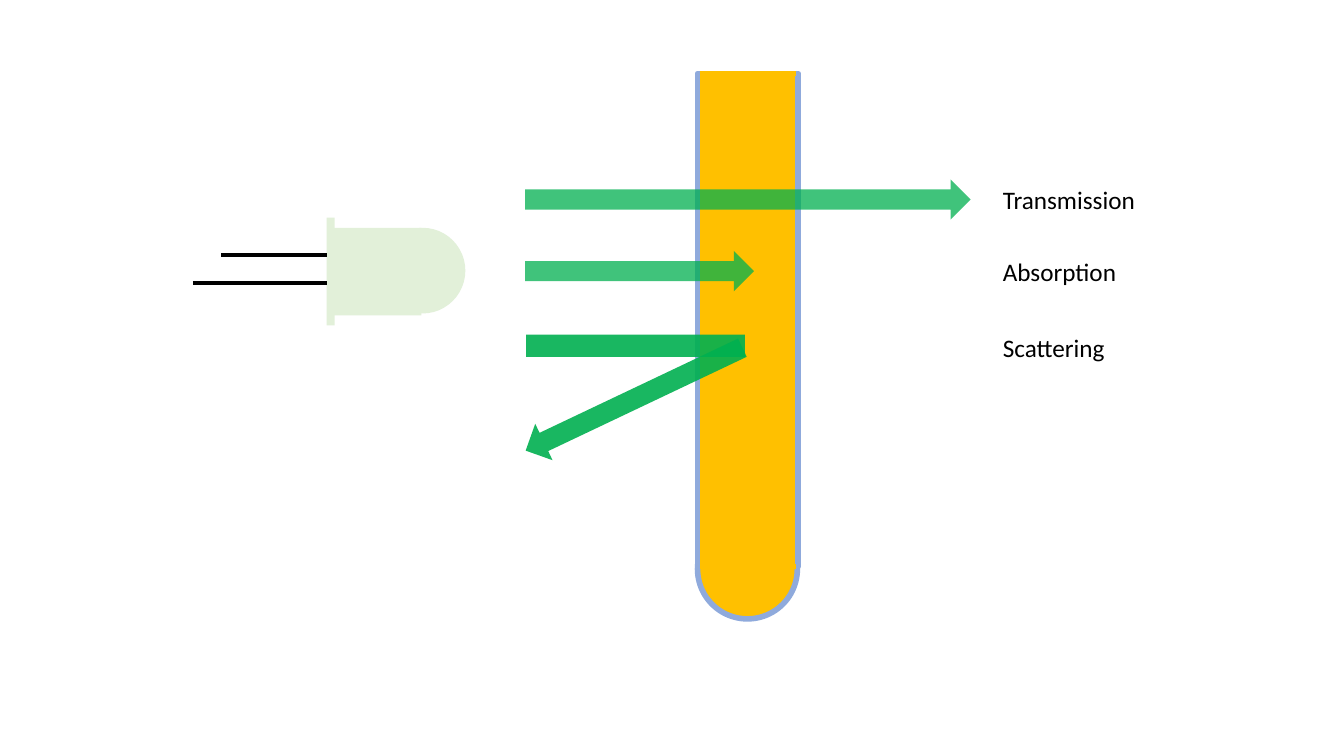
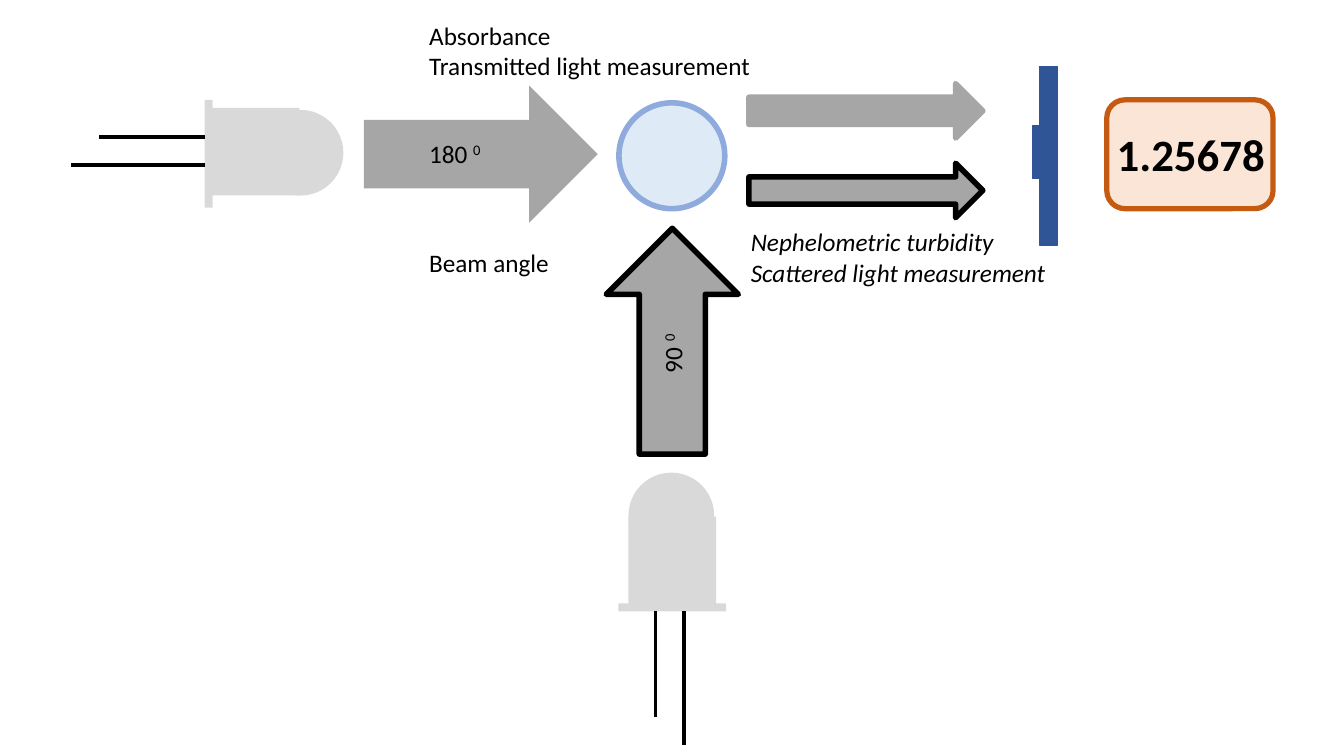
from lxml import etree
from pptx import Presentation
from pptx.dml.color import RGBColor
from pptx.enum.shapes import MSO_CONNECTOR, MSO_SHAPE
from pptx.enum.text import MSO_AUTO_SIZE
from pptx.oxml.ns import qn
from pptx.util import Pt

RECT, ROUND = MSO_SHAPE.RECTANGLE, MSO_SHAPE.ROUNDED_RECTANGLE
CIRCLE, ARROW = MSO_SHAPE.FLOWCHART_CONNECTOR, MSO_SHAPE.RIGHT_ARROW
STRAIGHT = MSO_CONNECTOR.STRAIGHT
GROW = MSO_AUTO_SIZE.SHAPE_TO_FIT_TEXT

COLORS = {
    "black": "000000", "liquid": "FFC000", "glass": "8FAADC",
    "beam": "00B050", "green_led": "E2F0D9", "gray_led": "D9D9D9",
    "gray_beam": "A6A6A6", "sample": "DEEBF7", "sensor": "2F5597",
    "display": "FBE5D6", "display_edge": "C55A11",
}
FONT = {"name": "Calibri", "size": Pt(18)}
EDGE = 4

# Slide 1: left, top, width, height in points
TUBE = (498.24, 52.56, 72, 352.08)
TUBE_END = (498.24, 370.8, 71.28, 71.28)
BEAM_X, BEAM_H, LABEL_X = 375.12, 28.8, 709.2
OUTCOMES = [  # label, label width, top, beam length (None: scattered)
    ("Transmission", 109.44, 128.16, 318.24),
    ("Absorption", 96.48, 179.28, 163.44),
    ("Scattering", 88.56, 234, None),
]
SCATTER = [  # preset, box, rotation
    (RECT, (375.84, 239.04, 156.24, 15.84), 0),
    (ARROW, (367.2, 270.72, 171.36, BEAM_H), 154.6),
]

# One LED pointing right, measured from the corner of its collar
LED_BULB = (CIRCLE, (37.9, 7.2, 61.2, 61.2))
LED_BODY = (RECT, (4.32, 7.2, 63.36, 62.64))
LED_COLLAR = (RECT, (0, 0, 5.76, 77.04))
LED_LEADS = [(26.5, 75.24), (46.7, 95.5)]  # offset, length

# Slide 2
SAMPLE = (442.08, 73.44, 75.6, 75.6)
BEAMS = [  # box, rotation, outline colour
    ((259.92, 61.2, 167.04, 97.92), 0, None),
    ((399.6, 196.56, 161.28, 94.32), 270, "black"),
    ((534.96, 59.76, 167.04, 38.88), 0, "gray_beam"),
    ((534.96, 116.64, 167.04, 38.88), 0, "black"),
]
SENSOR = [(742.32, 47.52, 12.96, 127.44), (737.28, 90, 5.76, 37.44)]
DISPLAY = (790.56, 71.28, 118.8, 77.76)
READING = ("1.25678", (790.56, 87.12, 132.48, 46.08))
NOTES = [  # lines, superscript, box, rotation, italic
    (["180 "], "0", (299.52, 95.04, 52.56, 28.8), 0, False),
    (["90 "], "0", (458.64, 237.6, 43.2, 28.8), 270, False),
    (["Beam angle"], "", (299.52, 172.8, 100.8, 28.8), 0, False),
    (["Absorbance", "Transmitted light measurement"], "",
     (299.52, 10.8, 246.24, 51.12), 0, False),
    (["Nephelometric turbidity", "Scattered light measurement"], "",
     (529.2, 158.4, 227.52, 51.12), 0, True),
]


def rgb(name):
    """Return the named colour."""
    return RGBColor.from_string(COLORS[name])


def add_shape(shapes, preset, box, fill, edge=None, width=EDGE, rot=0, alpha=100):
    """Add a filled preset shape, outlined only if edge is named."""
    sp = shapes.add_shape(preset, *map(Pt, box))
    sp.shadow.inherit = False
    sp.rotation = rot
    sp.fill.solid()
    sp.fill.fore_color.rgb = rgb(fill)
    if alpha < 100:
        clr = sp.fill._xPr.find(qn("a:solidFill"))[0]
        etree.SubElement(clr, qn("a:alpha")).set("val", str(alpha * 1000))
    if edge:
        sp.line.color.rgb = rgb(edge)
        sp.line.width = Pt(width)
    else:
        sp.line.fill.background()
    return sp


def add_line(shapes, start, end, color, width):
    """Add a straight line without shadow."""
    ln = shapes.add_connector(STRAIGHT, *map(Pt, (*start, *end)))
    ln.line.color.rgb = rgb(color)
    ln.line.width = Pt(width)
    etree.SubElement(ln._element.spPr, qn("a:effectLst"))


def add_run(p, text, **style):
    """Add a run of black text in the shared font."""
    r = p.add_run()
    r.text = text
    for key, value in {**FONT, **style}.items():
        setattr(r.font, key, value)
    r.font.color.rgb = rgb("black")
    return r


def add_text(shapes, lines, box, sup="", rot=0, wrap=False, **style):
    """Add a text box, one paragraph a line, with an optional superscript."""
    sp = shapes.add_textbox(*map(Pt, box))
    sp.rotation = rot
    tf = sp.text_frame
    tf.word_wrap = wrap
    tf.auto_size = GROW
    for i, line in enumerate(lines):
        p = tf.add_paragraph() if i else tf.paragraphs[0]
        add_run(p, line, **style)
    if sup:
        r = add_run(p, sup, **style)
        r._r.get_or_add_rPr().set("baseline", "30000")


def add_led(slide, x, y, color, upright=False, body_shift=0):
    """Add an LED with its collar corner at x, y, pointing right or up."""
    shapes = slide.shapes.add_group_shape().shapes

    def place(along, across):
        """Turn LED coordinates into slide coordinates."""
        return (x + across, y - along) if upright else (x + along, y + across)

    for part in (LED_BULB, LED_BODY, LED_COLLAR):
        preset, (along, across, w, h) = part
        across += body_shift if part is LED_BODY else 0
        cx, cy = place(along + w / 2, across + h / 2)
        add_shape(shapes, preset, (cx - w / 2, cy - h / 2, w, h), color,
                  rot=270 if upright else 0)
    for across, length in LED_LEADS:
        add_line(shapes, place(-length, across), place(0, across), "black", 2.5)


def add_tube(slide):
    """Add the open test tube filled with liquid."""
    shapes = slide.shapes.add_group_shape().shapes
    for preset, box in ((CIRCLE, TUBE_END), (RECT, TUBE)):
        add_shape(shapes, preset, box, "liquid", "glass")
    x, y, w, h = TUBE
    for level in (y + h, y):
        add_line(shapes, (x + 2, level), (x + w - 2, level), "liquid", EDGE)


def build_outcomes(slide):
    """Draw what happens to light that meets the test tube."""
    add_tube(slide)
    for label, width, top, length in OUTCOMES:
        add_text(slide.shapes, [label], (LABEL_X, top, width, BEAM_H))
        if length:
            add_shape(slide.shapes, ARROW, (BEAM_X, top, length, BEAM_H),
                      "beam", alpha=75)
    shapes = slide.shapes.add_group_shape().shapes
    for preset, box, rot in SCATTER:
        add_shape(shapes, preset, box, "beam", rot=rot, alpha=90)
    add_led(slide, 233.28, 155.52, "green_led")


def build_measurement(slide):
    """Draw the two beam angles, the sensor and the display."""
    add_shape(slide.shapes, CIRCLE, SAMPLE, "sample", "glass")
    add_led(slide, 146.16, 71.28, "gray_led", body_shift=-1.44)
    add_led(slide, 441.72, 436.68, "gray_led", upright=True)
    for box, rot, edge in BEAMS:
        add_shape(slide.shapes, ARROW, box, "gray_beam", edge, rot=rot)
    sensor = slide.shapes.add_group_shape().shapes
    for box in SENSOR:
        add_shape(sensor, RECT, box, "sensor", "sensor", 1)
    display = slide.shapes.add_group_shape().shapes
    add_shape(display, ROUND, DISPLAY, "display", "display_edge", 3.75)
    reading, box = READING
    add_text(display, [reading], box, wrap=True, size=Pt(32), bold=True)
    for lines, sup, box, rot, italic in NOTES:
        add_text(slide.shapes, lines, box, sup, rot, italic=italic)


prs = Presentation()
prs.slide_width, prs.slide_height = Pt(960), Pt(540)
for build in (build_outcomes, build_measurement):
    build(prs.slides.add_slide(prs.slide_layouts[6]))
prs.save("out.pptx")
